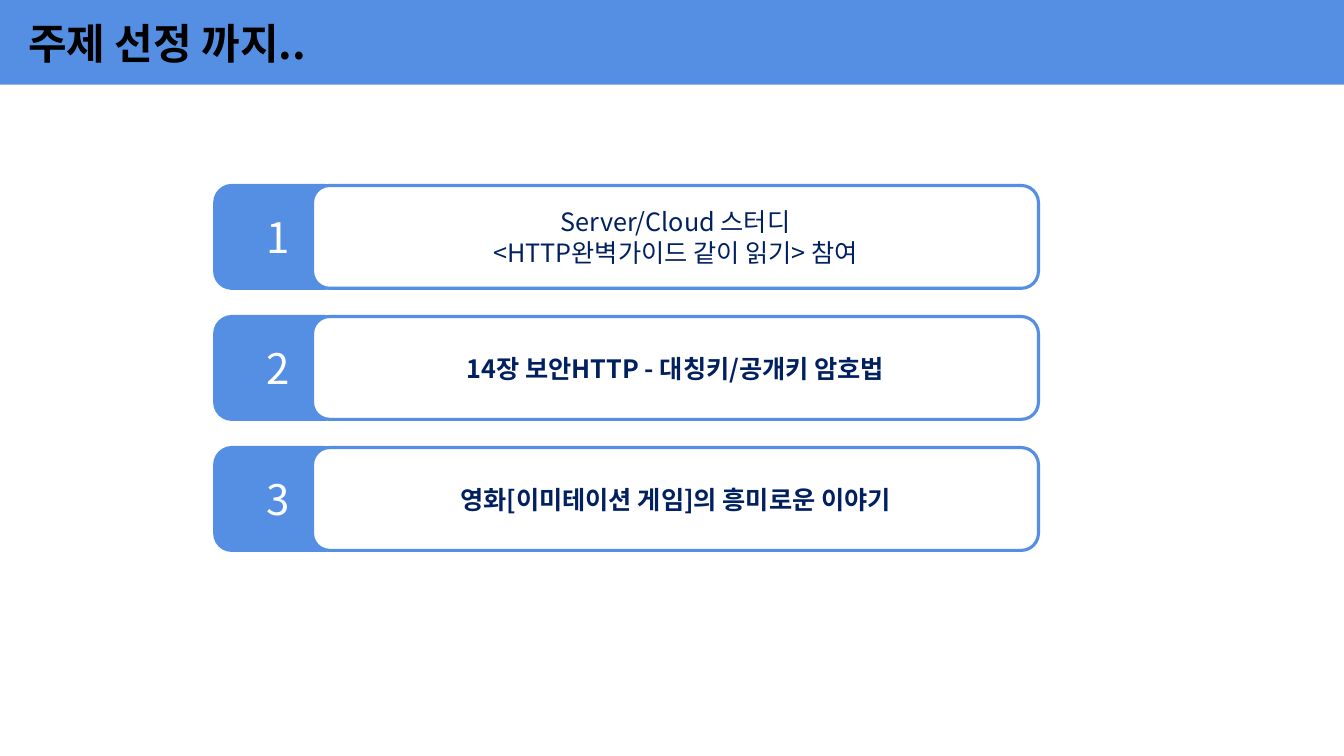
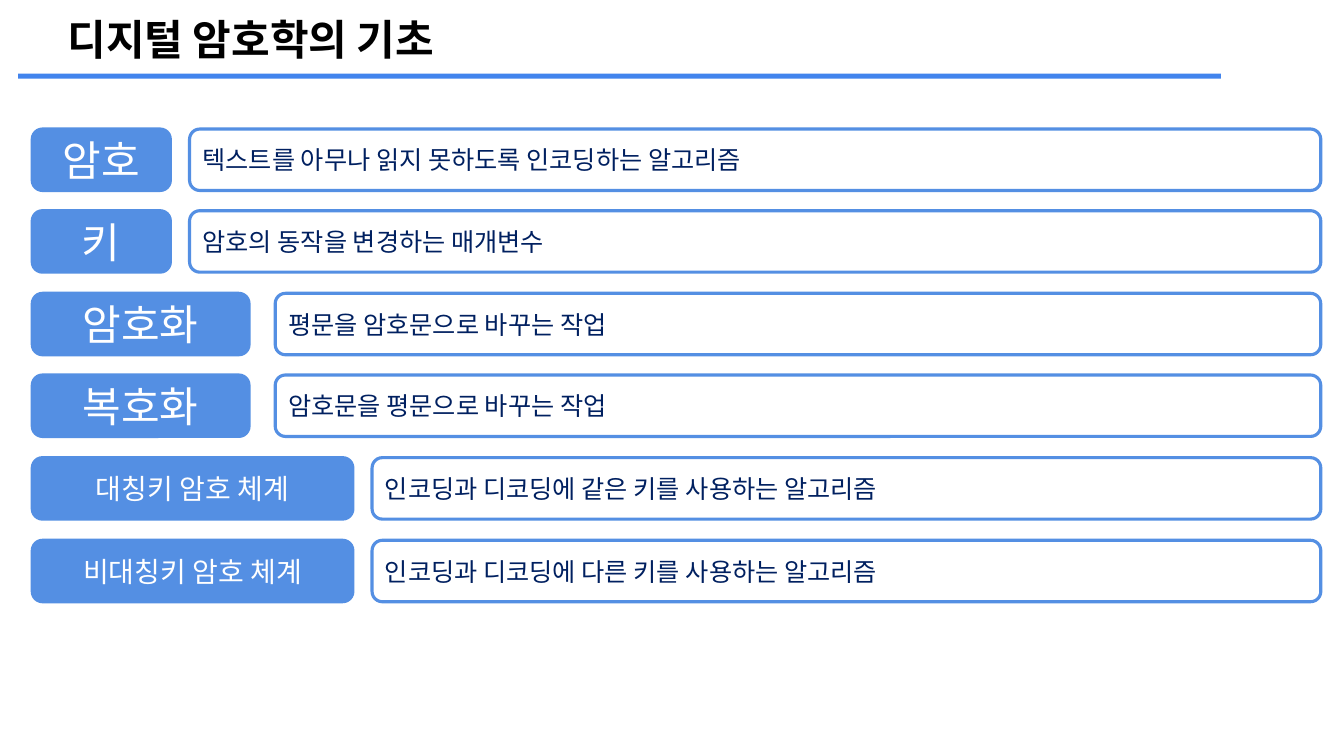
from dataclasses import dataclass

import lxml.etree
import pptx
import pptx.dml.color
import pptx.enum.shapes
import pptx.enum.text
import pptx.oxml.ns
import pptx.util

RGB = pptx.dml.color.RGBColor
SHAPE = pptx.enum.shapes.MSO_SHAPE
ALIGN = pptx.enum.text.PP_ALIGN
ANCHOR = pptx.enum.text.MSO_ANCHOR

BLUE = RGB(0x54, 0x8F, 0xE3)
RULE = RGB(0x42, 0x84, 0xED)
NAVY = RGB(0x00, 0x20, 0x60)
WHITE = RGB(0xFF, 0xFF, 0xFF)
BLACK = RGB(0x00, 0x00, 0x00)
FONT = "Noto Sans CJK KR"
SCALE = 9144  # EMU per px, 100 px to the inch


@dataclass(frozen=True)
class Box:
    left: int
    top: int
    width: int
    height: int

    def emu(self) -> list[int]:
        return [n * SCALE for n in (self.left, self.top, self.width, self.height)]


@dataclass(frozen=True)
class Step:
    text: str
    bold: bool = True


@dataclass(frozen=True)
class Term:
    name: str
    text: str
    width: int
    left: int  # left edge of the meaning box
    size: int = 30


STEPS = [
    Step("Server/Cloud 스터디\n<HTTP완벽가이드 같이 읽기> 참여", bold=False),
    Step("14장 보안HTTP - 대칭키/공개키 암호법"),
    Step("영화[이미테이션 게임]의 흥미로운 이야기"),
]

TERMS = [
    Term("암호", "텍스트를 아무나 읽지 못하도록 인코딩하는 알고리즘", 137, 188),
    Term("키", "암호의 동작을 변경하는 매개변수", 137, 188),
    Term("암호화", "평문을 암호문으로 바꾸는 작업", 215, 273),
    Term("복호화", "암호문을 평문으로 바꾸는 작업", 215, 273),
    Term("대칭키 암호 체계", "인코딩과 디코딩에 같은 키를 사용하는 알고리즘", 318, 369, 20),
    Term("비대칭키 암호 체계", "인코딩과 디코딩에 다른 키를 사용하는 알고리즘", 318, 369, 20),
]


def write(shape, text: str, *, size: int, color: RGB, bold: bool = False,
          align=ALIGN.LEFT, anchor=ANCHOR.MIDDLE) -> None:
    frame = shape.text_frame
    frame.word_wrap = True
    frame.vertical_anchor = anchor
    frame.text = text
    for para in frame.paragraphs:
        para.alignment = align
        for run in para.runs:
            font = run.font
            font.name, font.size, font.bold = FONT, pptx.util.Pt(size), bold
            font.color.rgb = color
            # Korean glyphs take the East Asian font
            east = lxml.etree.SubElement(font._element, pptx.oxml.ns.qn("a:ea"))
            east.set("typeface", FONT)


def bar(slide, box: Box, color: RGB) -> None:
    shape = slide.shapes.add_shape(SHAPE.RECTANGLE, *box.emu())
    shape.shadow.inherit = False
    shape.fill.solid()
    shape.fill.fore_color.rgb = color
    shape.line.fill.background()


def card(slide, box: Box, fill: RGB):
    shape = slide.shapes.add_shape(SHAPE.ROUNDED_RECTANGLE, *box.emu())
    shape.shadow.inherit = False
    shape.fill.solid()
    shape.fill.fore_color.rgb = fill
    shape.line.color.rgb = BLUE
    shape.line.width = pptx.util.Pt(2.25)
    return shape


def label(slide, box: Box, text: str, size: int = 30) -> None:
    write(card(slide, box, BLUE), text, size=size, color=WHITE, align=ALIGN.CENTER)


def panel(slide, box: Box, text: str, bold: bool = False, align=ALIGN.LEFT) -> None:
    write(card(slide, box, WHITE), text, size=18, color=NAVY, bold=bold, align=align)


def title(slide, box: Box, text: str, align=ALIGN.LEFT) -> None:
    shape = slide.shapes.add_textbox(*box.emu())
    write(shape, text, size=30, color=BLACK, bold=True, align=align, anchor=ANCHOR.TOP)


def topic(slide) -> None:
    bar(slide, Box(0, 0, 1333, 84), BLUE)
    title(slide, Box(18, 12, 487, 61), "주제 선정 까지..")
    # Numbered steps, each panel overlapping its label
    for i, step in enumerate(STEPS):
        top = 184 + 130 * i
        label(slide, Box(213, top, 126, 102), str(i + 1))
        panel(slide, Box(310, top, 720, 102), step.text, step.bold, ALIGN.CENTER)


def basics(slide) -> None:
    title(slide, Box(16, 8, 466, 61), "디지털 암호학의 기초", ALIGN.CENTER)
    bar(slide, Box(18, 73, 1193, 5), RULE)
    # Terms with their meanings, all ending at one right edge
    right, first, last = 1310, 128, 536
    for i, term in enumerate(TERMS):
        top = first + (last - first) * i // (len(TERMS) - 1)
        label(slide, Box(32, top, term.width, 61), term.name, term.size)
        panel(slide, Box(term.left, top, right - term.left, 61), term.text)


def main() -> None:
    deck = pptx.Presentation()
    deck.slide_width, deck.slide_height = 1333 * SCALE, 750 * SCALE
    for draw in (topic, basics):
        draw(deck.slides.add_slide(deck.slide_layouts[6]))
    deck.save("out.pptx")


if __name__ == "__main__":
    main()
